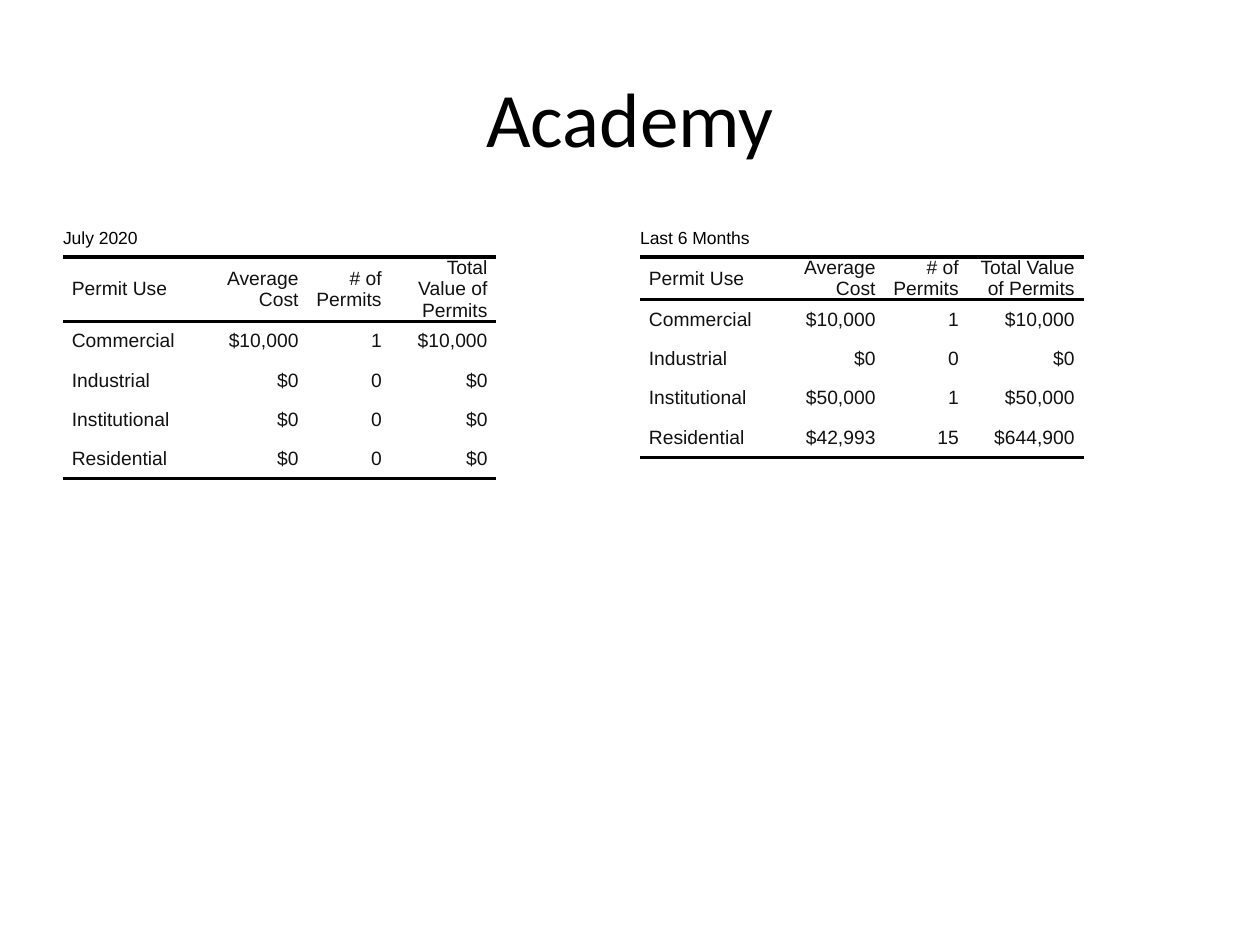
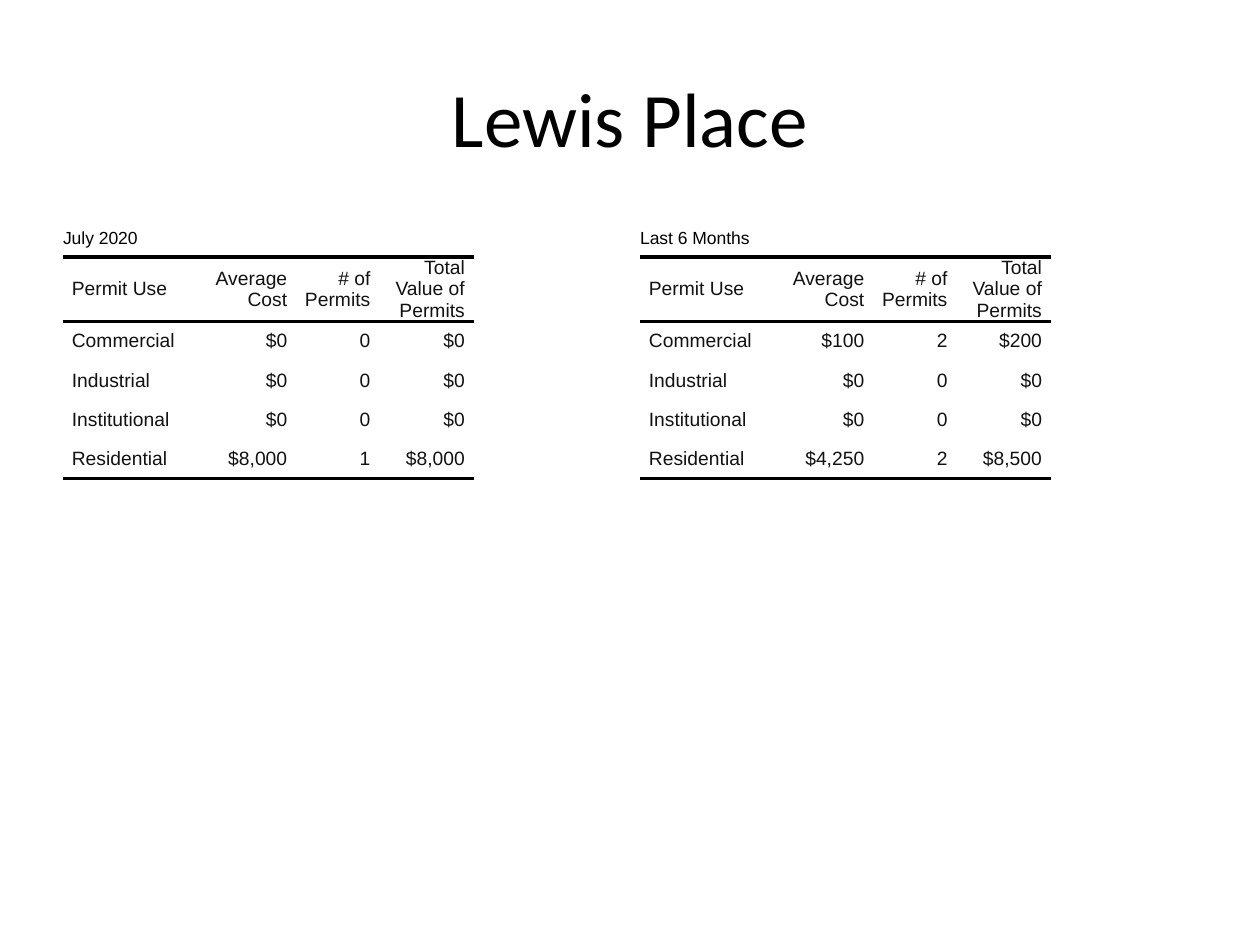
from dataclasses import dataclass

from lxml import etree
from pptx import Presentation
from pptx.dml.color import RGBColor
from pptx.enum.text import MSO_ANCHOR, PP_ALIGN
from pptx.oxml.ns import qn
from pptx.util import Inches, Pt

LEFT, RIGHT, CENTER = PP_ALIGN.LEFT, PP_ALIGN.RIGHT, PP_ALIGN.CENTER
MIDDLE = MSO_ANCHOR.MIDDLE

# Content: each slide has a title and two tables of
# (caption, column widths, rows of cost, count and total)
HEADS = ["Permit Use", "Average Cost", "# of Permits", "Total Value of Permits"]
USES = ["Commercial", "Industrial", "Institutional", "Residential"]
NONE = ("$0", "0", "$0")
MONTH, HALF = "July 2020", "Last 6 Months"
NARROW = (1.1, 0.75, 0.66, 0.75)

SLIDES = [
    ("Academy", [
        (MONTH, (1.1, 0.84, 0.66, 0.84),
         [("$10,000", "1", "$10,000"), NONE, NONE, NONE]),
        (HALF, (1.1, 0.84, 0.66, 0.92),
         [("$10,000", "1", "$10,000"), NONE,
          ("$50,000", "1", "$50,000"), ("$42,993", "15", "$644,900")]),
    ]),
    ("Lewis Place", [
        (MONTH, NARROW, [NONE, NONE, NONE, ("$8,000", "1", "$8,000")]),
        (HALF, NARROW,
         [("$100", "2", "$200"), NONE, NONE, ("$4,250", "2", "$8,500")]),
    ]),
]


@dataclass(frozen=True)
class Theme:
    black: str = "000000"
    ink: str = "111111"
    head: str = "Calibri"
    body: str = "Arial"
    title: int = 44
    label: int = 10
    cell: int = 11
    rule: int = 2
    plain: str = "{2D5ABB26-0587-4C30-8999-92F81FD0307C}"


THEME = Theme()

# Layout in inches
EDGE, TOP, WIDE, TALL = 0.5, 1.75, 4.42, 4.95
STEP = 4.58
HEAD_H, BODY_H = 0.29, 1.25 / len(USES)
PAD = 0.07


def write(frame, text, size, color=THEME.black, font=THEME.body,
          align=LEFT, pad=0, after=0):
    """Put one formatted paragraph into a text frame."""
    para = frame.paragraphs[0]
    para.alignment = align
    para.space_after = Pt(after)
    if pad:
        for side in ("marL", "marR"):
            para._p.get_or_add_pPr().set(side, str(Inches(pad)))
    run = para.add_run()
    run.text = text
    run.font.size = Pt(size)
    run.font.name = font
    run.font.color.rgb = RGBColor.from_string(color)


def rule(cell, *sides):
    """Draw black lines on the given sides of a cell."""
    props = cell._tc.get_or_add_tcPr()
    for side in sides:
        line = etree.SubElement(props, qn(f"a:ln{side}"), w=str(Pt(THEME.rule)))
        fill = etree.SubElement(line, qn("a:solidFill"))
        etree.SubElement(fill, qn("a:srgbClr"), val=THEME.black)


def add_grid(slide, left, label, widths, data):
    """Add a captioned permit table."""
    rows = [HEADS] + [[use, *vals] for use, vals in zip(USES, data)]
    shape = slide.shapes.add_table(len(rows) + 1, len(HEADS), Inches(left),
                                   Inches(TOP), Inches(WIDE), Inches(TALL))
    grid = shape.table
    grid.first_row = grid.horz_banding = False
    grid._tbl.tblPr.find(qn("a:tableStyleId")).text = THEME.plain
    for col, width in zip(grid.columns, widths):
        col.width = Inches(width)
    for i, row in enumerate(grid.rows):
        row.height = Inches(HEAD_H if i < 2 else BODY_H)
    shape.width, shape.height = Inches(WIDE), Inches(TALL)

    # Caption, then header and body cells
    grid.cell(0, 0).merge(grid.cell(0, len(HEADS) - 1))
    write(grid.cell(0, 0).text_frame, label, THEME.label)
    for i, row in enumerate(rows, 1):
        for j, text in enumerate(row):
            cell = grid.cell(i, j)
            write(cell.text_frame, text, THEME.cell, color=THEME.ink,
                  align=RIGHT if j else LEFT, pad=PAD, after=2)
            if i == 1:
                rule(cell, "T", "B")
            elif i == len(rows):
                rule(cell, "B")
    for cell in grid.iter_cells():
        cell.margin_left = cell.margin_right = 0
        cell.margin_top = cell.margin_bottom = 0
        cell.vertical_anchor = MIDDLE
        cell.fill.background()


def add_title(slide, text):
    """Place and format the title."""
    title = slide.shapes.title
    title.left, title.top = Inches(EDGE), Inches(0.3)
    title.width, title.height = Inches(9), Inches(1.25)
    title.text_frame.vertical_anchor = MIDDLE
    write(title.text_frame, text, THEME.title, font=THEME.head, align=CENTER)


def main():
    deck = Presentation()
    deck.slide_width, deck.slide_height = Inches(10), Inches(7.5)
    for name, grids in SLIDES:
        slide = deck.slides.add_slide(deck.slide_layouts[5])
        add_title(slide, name)
        for k, (label, widths, data) in enumerate(grids):
            add_grid(slide, EDGE + k * STEP, label, widths, data)
    deck.save("out.pptx")


if __name__ == "__main__":
    main()
